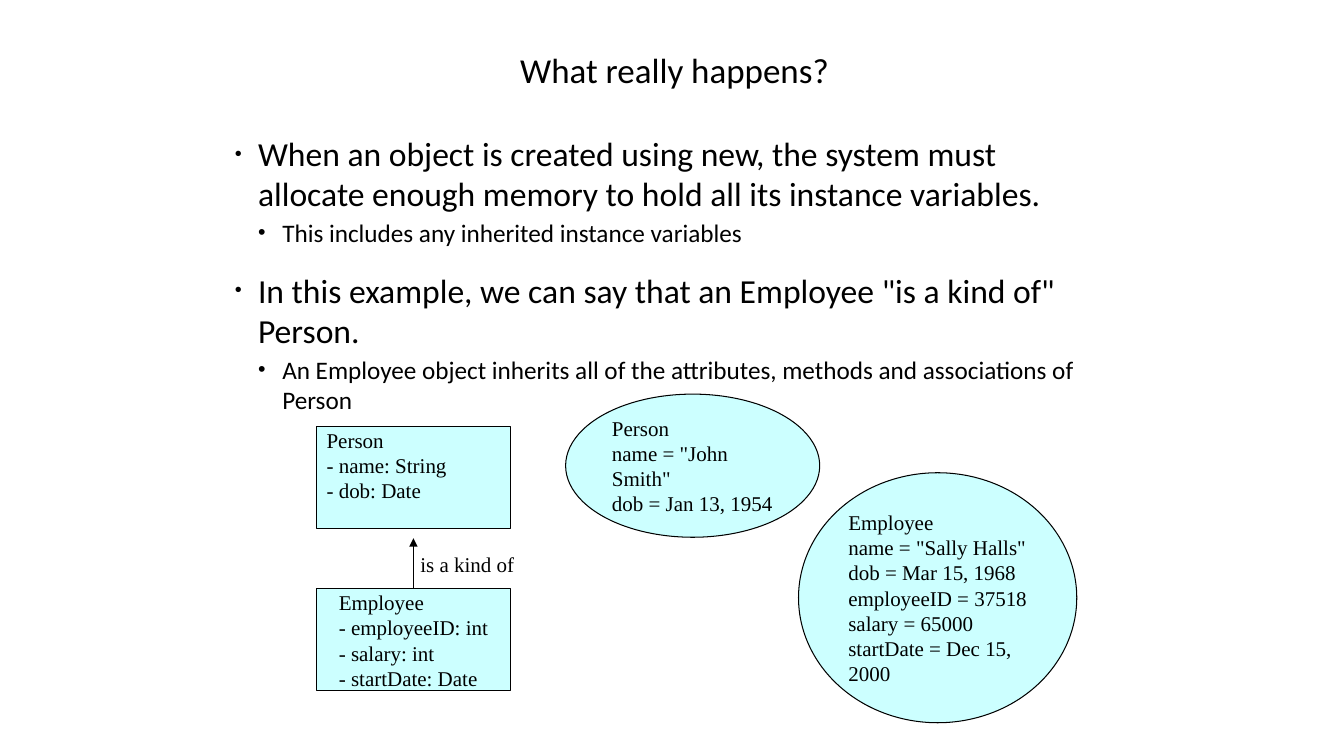
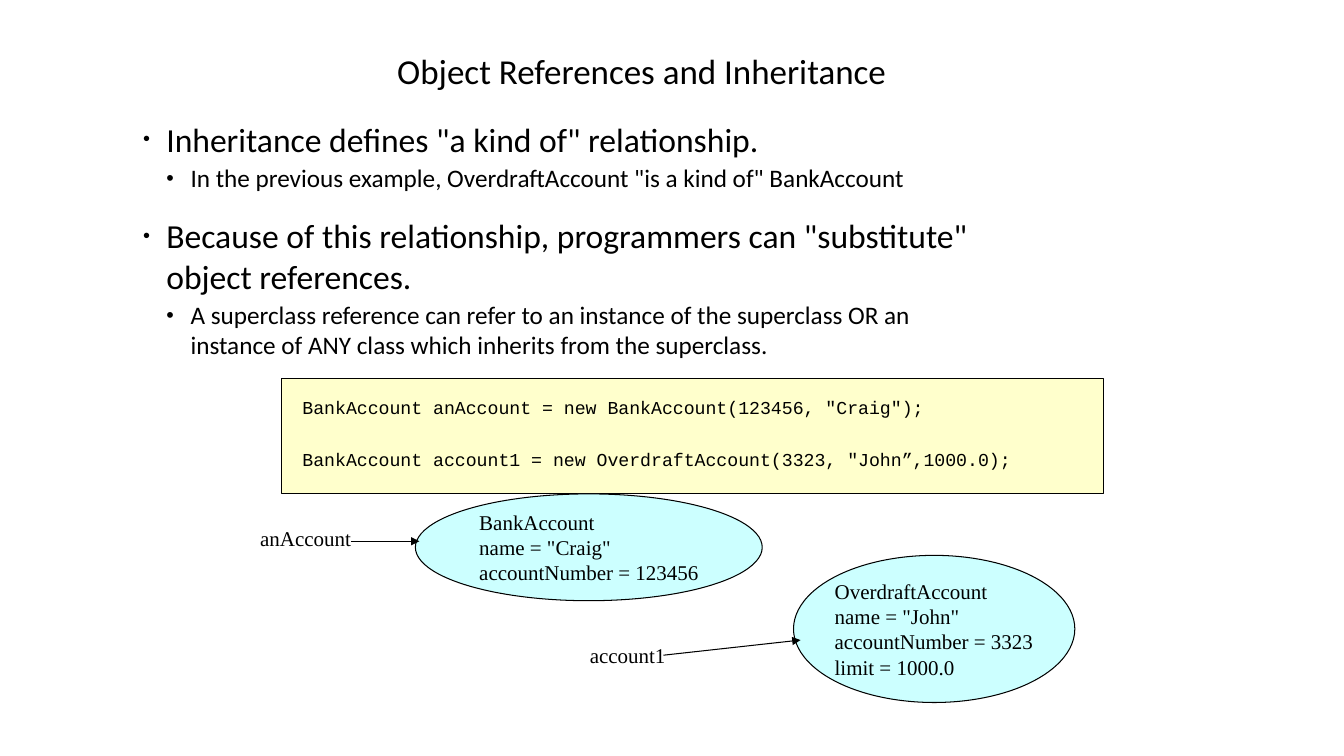
"""Build two slides on object creation, references and inheritance."""
from lxml import etree
from pptx import Presentation, util as u
from pptx.dml import color
from pptx.enum import shapes, text
from pptx.oxml import ns

PX = u.Inches(1) // 100
COLORS = {"ink": "000000", "object": "CCFFFF", "code": "FFFFCC"}
BODY_FONT, DIAGRAM_FONT, CODE_FONT = "Calibri", "Times New Roman", "Courier New"
LEVELS = [
    {"size": 24, "margin": 23, "hang": 23, "bullet": 59},
    {"size": 18, "margin": 47, "hang": 24, "bullet": 85},
]
BULLET_SPACE, GROUP_SPACE, CODE_SPACE = 2.5, 16, 22


def px(*lengths):
    """Turn px lengths into EMU."""
    return [length * PX for length in lengths]


def rgb(name):
    """Look up a named colour."""
    return color.RGBColor.from_string(COLORS[name])


def add_xml(parent, tag, **attributes):
    """Append a DrawingML element to its parent."""
    return etree.SubElement(parent, ns.qn(tag), attributes)


def style_runs(paragraph, font, size):
    """Give every run of a paragraph one font, size and ink colour."""
    for run in paragraph.runs:
        run.font.name = font
        run.font.size = u.Pt(size)
        run.font.color.rgb = rgb("ink")


def fill_frame(text_frame, content, font, size, margins=(0, 0)):
    """Write left-aligned text with left and top margins."""
    text_frame.margin_left, text_frame.margin_top = px(*margins)
    text_frame.margin_right = text_frame.margin_bottom = 0
    text_frame.text = content
    for paragraph in text_frame.paragraphs:
        paragraph.alignment = text.PP_ALIGN.LEFT
        style_runs(paragraph, font, size)


def add_text(slide, box, content, font, size, wrap=True):
    """Add a plain text box."""
    text_frame = slide.shapes.add_textbox(*px(*box)).text_frame
    text_frame.word_wrap = wrap
    fill_frame(text_frame, content, font, size)
    return text_frame


def add_title(slide, box, content):
    """Add the slide title."""
    add_text(slide, box, content, BODY_FONT, 25)


def add_label(slide, box, content):
    """Add a one-line diagram label."""
    add_text(slide, box, content, DIAGRAM_FONT, 15, wrap=False)


def add_bullets(slide, box, items):
    """Add bulleted text from (level, text) pairs."""
    content = "\n".join(line for _, line in items)
    text_frame = add_text(slide, box, content, BODY_FONT, 24)
    for index, (paragraph, (level, _)) in enumerate(zip(text_frame.paragraphs, items)):
        style = LEVELS[level]
        starts_group = index > 0 and level == 0
        paragraph.level = level
        paragraph.space_before = u.Pt(GROUP_SPACE if starts_group else BULLET_SPACE)
        style_runs(paragraph, BODY_FONT, style["size"])
        properties = paragraph._p.get_or_add_pPr()
        properties.set("marL", str(style["margin"] * PX))
        properties.set("indent", str(-style["hang"] * PX))
        bullet_color = add_xml(properties, "a:buClr")
        add_xml(bullet_color, "a:srgbClr", val=COLORS["ink"])
        add_xml(properties, "a:buSzPct", val=str(style["bullet"] * 1000))
        add_xml(properties, "a:buFont", typeface="Arial")
        add_xml(properties, "a:buChar", char="•")


def add_panel(slide, kind, box, fill):
    """Add a filled, thinly outlined shape."""
    shape = slide.shapes.add_shape(kind, *px(*box))
    shape.shadow.inherit = False
    shape.fill.solid()
    shape.fill.fore_color.rgb = rgb(fill)
    shape.line.color.rgb = rgb("ink")
    shape.line.width = u.Pt(0.75)
    shape.text_frame.word_wrap = True
    shape.text_frame.vertical_anchor = text.MSO_ANCHOR.TOP
    return shape


def add_class_box(slide, box, content, margin):
    """Add a class rectangle listing its attributes."""
    shape = add_panel(slide, shapes.MSO_SHAPE.RECTANGLE, box, "object")
    fill_frame(shape.text_frame, content, DIAGRAM_FONT, 15, (margin, 1))
    return shape


def add_instance(slide, box, content, margin):
    """Add an instance ellipse listing its values."""
    shape = add_panel(slide, shapes.MSO_SHAPE.OVAL, box, "object")
    fill_frame(shape.text_frame, content, DIAGRAM_FONT, 15, (margin, 0))
    shape.text_frame.vertical_anchor = text.MSO_ANCHOR.MIDDLE


def add_code(slide, box, content):
    """Add a code panel."""
    shape = add_panel(slide, shapes.MSO_SHAPE.RECTANGLE, box, "code")
    fill_frame(shape.text_frame, content, CODE_FONT, 13, (21, 17))
    for index, paragraph in enumerate(shape.text_frame.paragraphs):
        paragraph.space_before = u.Pt(CODE_SPACE if index else BULLET_SPACE)


def add_arrow(slide, start, end):
    """Add a thin arrow pointing at its end."""
    connector = slide.shapes.add_connector(
        shapes.MSO_CONNECTOR.STRAIGHT, *px(*start, *end))
    connector.line.color.rgb = rgb("ink")
    connector.line.width = u.Pt(0.75)
    add_xml(connector.line._get_or_add_ln(), "a:tailEnd", type="triangle")
    add_xml(connector._element.spPr, "a:effectLst")
    return connector


def build_creation(slide):
    """Fill the slide on what happens when an object is created."""
    add_title(slide, (516, 48, 365, 42), "What really happens?")
    add_bullets(slide, (233, 132, 850, 282), [
        (0, "When an object is created using new, the system must allocate "
            "enough memory to hold all its instance variables."),
        (1, "This includes any inherited instance variables"),
        (0, 'In this example, we can say that an Employee "is a kind of" Person.'),
        (1, "An Employee object inherits all of the attributes, methods and "
            "associations of Person"),
    ])
    add_class_box(slide, (314, 423, 192, 101),
                  "Person\n- name: String\n- dob: Date", 10)
    employee = add_class_box(
        slide, (314, 584, 192, 101),
        "Employee\n- employeeID: int\n- salary: int\n- startDate: Date", 22)
    add_arrow(slide, (410, 584), (410, 534)).begin_connect(employee, 0)
    add_label(slide, (417, 547, 94, 25), "is a kind of")
    add_instance(slide, (561, 391, 252, 142),
                 'Person\nname = "John Smith"\ndob = Jan 13, 1954', 9)
    add_instance(slide, (792, 469, 276, 248),
                 'Employee\nname = "Sally Halls"\ndob = Mar 15, 1968\n'
                 "employeeID = 37518\nsalary = 65000\nstartDate = Dec 15, 2000", 9)


def build_references(slide):
    """Fill the slide on object references and inheritance."""
    add_title(slide, (394, 49, 623, 42), "Object References and Inheritance")
    add_bullets(slide, (142, 118, 850, 304), [
        (0, 'Inheritance defines "a kind of" relationship.'),
        (1, 'In the previous example, OverdraftAccount "is a kind of" BankAccount'),
        (0, 'Because of this relationship, programmers can "substitute" '
            "object references."),
        (1, "A superclass reference can refer to an instance of the superclass "
            "OR an instance of ANY class which inherits from the superclass."),
    ])
    add_code(slide, (279, 376, 816, 114),
             'BankAccount anAccount = new BankAccount(123456, "Craig");\n'
             'BankAccount account1 = new OverdraftAccount(3323, "John”,1000.0);')
    add_label(slide, (258, 521, 91, 25), "anAccount")
    add_label(slide, (585, 637, 76, 25), "account1")
    add_instance(slide, (412, 490, 344, 106),
                 'BankAccount\nname = "Craig"\naccountNumber = 123456', 13)
    add_instance(slide, (787, 551, 279, 146),
                 'OverdraftAccount\nname = "John"\naccountNumber = 3323\n'
                 "limit = 1000.0", 0)
    add_arrow(slide, (348, 537), (416, 537))
    add_arrow(slide, (658, 650), (794, 635))


def main():
    """Build and save the presentation."""
    presentation = Presentation()
    presentation.slide_width, presentation.slide_height = px(1333, 750)
    blank = presentation.slide_layouts[6]
    for build in (build_creation, build_references):
        build(presentation.slides.add_slide(blank))
    presentation.save("out.pptx")


if __name__ == "__main__":
    main()
